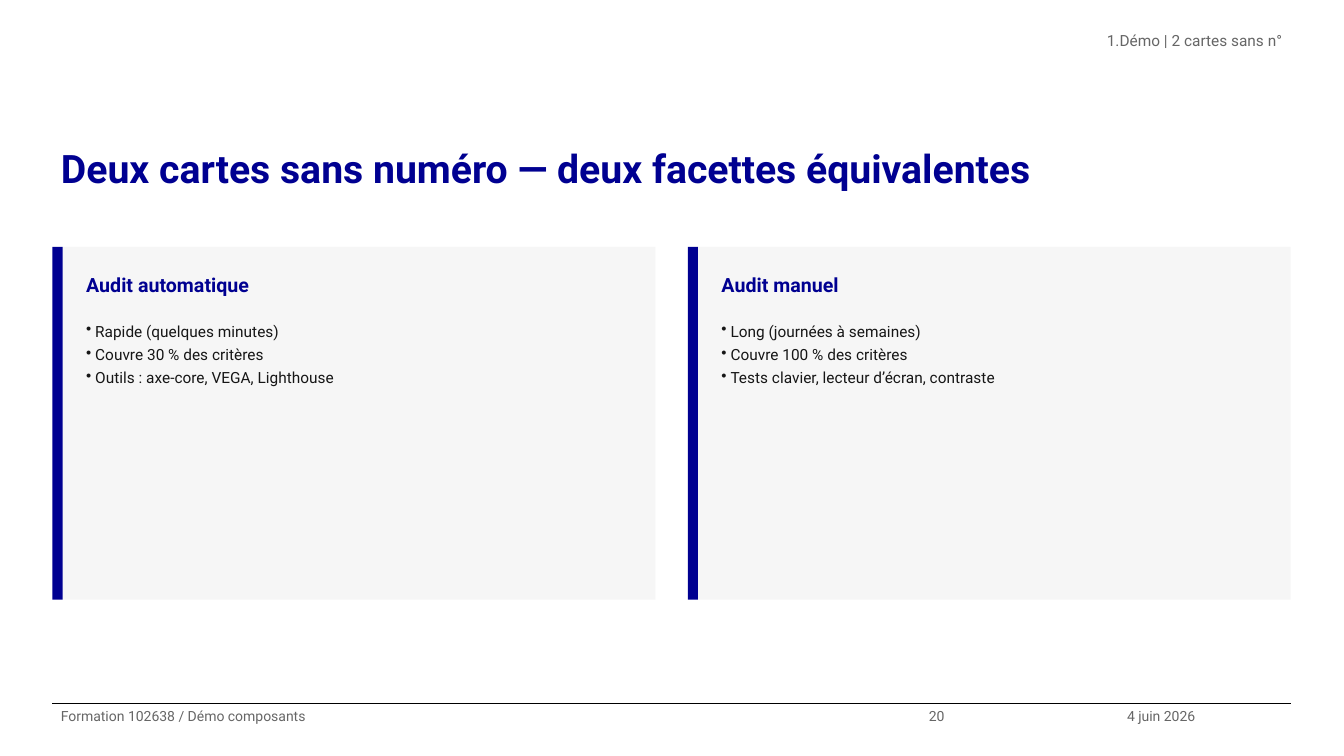
from dataclasses import dataclass

from lxml import etree
from pptx import Presentation
from pptx.dml.color import RGBColor
from pptx.enum.shapes import MSO_CONNECTOR, MSO_SHAPE
from pptx.enum.text import MSO_ANCHOR, PP_ALIGN
from pptx.oxml.ns import qn
from pptx.util import Pt

RECTANGLE = MSO_SHAPE.RECTANGLE
STRAIGHT = MSO_CONNECTOR.STRAIGHT
TOP = MSO_ANCHOR.TOP
LEFT, RIGHT = PP_ALIGN.LEFT, PP_ALIGN.RIGHT

COLORS = {
    "blue": "000091",
    "card": "F6F6F6",
    "body": "161616",
    "muted": "666666",
    "rule": "000000",
    "background": "FFFFFF",
}
FORMATS = {
    "title": {"size": Pt(28), "bold": True, "color": "blue"},
    "header": {"size": Pt(11), "bold": False, "color": "muted"},
    "footer": {"size": Pt(10), "bold": False, "color": "muted"},
    "card title": {"size": Pt(14), "bold": True, "color": "blue"},
    "card body": {"size": Pt(11), "bold": False, "color": "body"},
}
BULLETS = {
    "dot": ("a:buChar", {"char": "•"}),
    "number": ("a:buAutoNum", {"type": "arabicPeriod"}),
}

MARGIN = 37.5
RIGHT_EDGE = 922
FOOTER_TOP = 502.5
CARD_TOP, CARD_HEIGHT = 176.4, 252
CARD_WIDTH, CARD_STEP = 430.6, 453.8
ACCENT_WIDTH = 7.2
CARD_PADDING = 10.8
CARD_TITLE_HEIGHT = 32.4
CARD_BODY_OFFSET = 46.8


@dataclass
class Box:
    left: float
    top: float
    width: float
    height: float

    def lengths(self) -> list:
        return [Pt(value) for value in (self.left, self.top, self.width, self.height)]


@dataclass
class Label:
    box: Box
    lines: list[str]
    style: str
    inset: float = 0
    alignment: PP_ALIGN = LEFT
    bullet: str = ""
    indent: float = 0


@dataclass
class Card:
    title: str
    points: list[str]


LABELS = [
    Label(Box(MARGIN, 94.5, 884.5, 75.6),
          ["Deux cartes sans numéro — deux facettes équivalentes"], "title"),
    Label(Box(347.5, 18.75, 574.5, 37.5), ["Démo | 2 cartes sans n°"], "header",
          alignment=RIGHT, bullet="number", indent=9),
    Label(Box(MARGIN, FOOTER_TOP, 620, 37.5), ["Formation 102638 / Démo composants"], "footer"),
    Label(Box(657.5, FOOTER_TOP, 141.5, 37.5), ["20"], "footer"),
    Label(Box(799, FOOTER_TOP, 123, 37.5), ["4 juin 2026"], "footer"),
]
CARDS = [
    Card("Audit automatique", [
        "Rapide (quelques minutes)",
        "Couvre 30 % des critères",
        "Outils : axe-core, VEGA, Lighthouse",
    ]),
    Card("Audit manuel", [
        "Long (journées à semaines)",
        "Couvre 100 % des critères",
        "Tests clavier, lecteur d’écran, contraste",
    ]),
]


def color(name: str) -> RGBColor:
    return RGBColor.from_string(COLORS[name])


def add_bullet(paragraph, kind: str, indent: float) -> None:
    properties = paragraph._p.get_or_add_pPr()
    properties.set("marL", str(Pt(indent)))
    properties.set("indent", str(-Pt(indent)))
    tag, attributes = BULLETS[kind]
    etree.SubElement(properties, qn(tag), attributes)


def add_label(slide, label: Label) -> None:
    frame = slide.shapes.add_textbox(*label.box.lengths()).text_frame
    frame_format = {
        "word_wrap": True,
        "vertical_anchor": TOP,
        "margin_left": Pt(6),
        "margin_right": Pt(6),
        "margin_top": Pt(label.inset),
        "margin_bottom": Pt(label.inset),
    }
    for name, value in frame_format.items():
        setattr(frame, name, value)
    for index, line in enumerate(label.lines):
        paragraph = frame.add_paragraph() if index else frame.paragraphs[0]
        paragraph.alignment = label.alignment
        paragraph.line_spacing = 1.25
        if label.bullet:
            add_bullet(paragraph, label.bullet, label.indent)
        run = paragraph.add_run()
        run.text = line
        run.font.name = "Roboto"
        for name, value in FORMATS[label.style].items():
            if name == "color":
                run.font.color.rgb = color(value)
            else:
                setattr(run.font, name, value)


def add_rectangle(slide, box: Box, fill: str) -> None:
    shape = slide.shapes.add_shape(RECTANGLE, *box.lengths())
    shape.shadow.inherit = False
    shape.fill.solid()
    shape.fill.fore_color.rgb = color(fill)
    shape.line.fill.background()


def add_card(slide, card: Card, left: float) -> None:
    panel_left = left + ACCENT_WIDTH
    panel_width = CARD_WIDTH - ACCENT_WIDTH
    add_rectangle(slide, Box(panel_left, CARD_TOP, panel_width, CARD_HEIGHT), "card")
    add_rectangle(slide, Box(left, CARD_TOP, ACCENT_WIDTH, CARD_HEIGHT), "blue")
    text_left = panel_left + CARD_PADDING
    text_width = panel_width - 2 * CARD_PADDING
    body_height = CARD_HEIGHT - CARD_BODY_OFFSET - CARD_PADDING
    add_label(slide, Label(
        Box(text_left, CARD_TOP + CARD_PADDING, text_width, CARD_TITLE_HEIGHT),
        [card.title], "card title", inset=3.6))
    add_label(slide, Label(
        Box(text_left, CARD_TOP + CARD_BODY_OFFSET, text_width, body_height),
        card.points, "card body", inset=3.6, bullet="dot", indent=6.5))


def add_rule(slide) -> None:
    rule = slide.shapes.add_connector(
        STRAIGHT, Pt(MARGIN), Pt(FOOTER_TOP), Pt(RIGHT_EDGE), Pt(FOOTER_TOP))
    rule.line.color.rgb = color("rule")
    rule.line.width = Pt(0.8)
    etree.SubElement(rule._element.spPr, qn("a:effectLst"))


def main() -> None:
    presentation = Presentation()
    presentation.slide_width = Pt(960)
    presentation.slide_height = Pt(540)
    slide = presentation.slides.add_slide(presentation.slide_layouts[6])
    slide.background.fill.solid()
    slide.background.fill.fore_color.rgb = color("background")
    add_rule(slide)
    for label in LABELS:
        add_label(slide, label)
    for index, card in enumerate(CARDS):
        add_card(slide, card, MARGIN + index * CARD_STEP)
    presentation.save("out.pptx")


if __name__ == "__main__":
    main()
